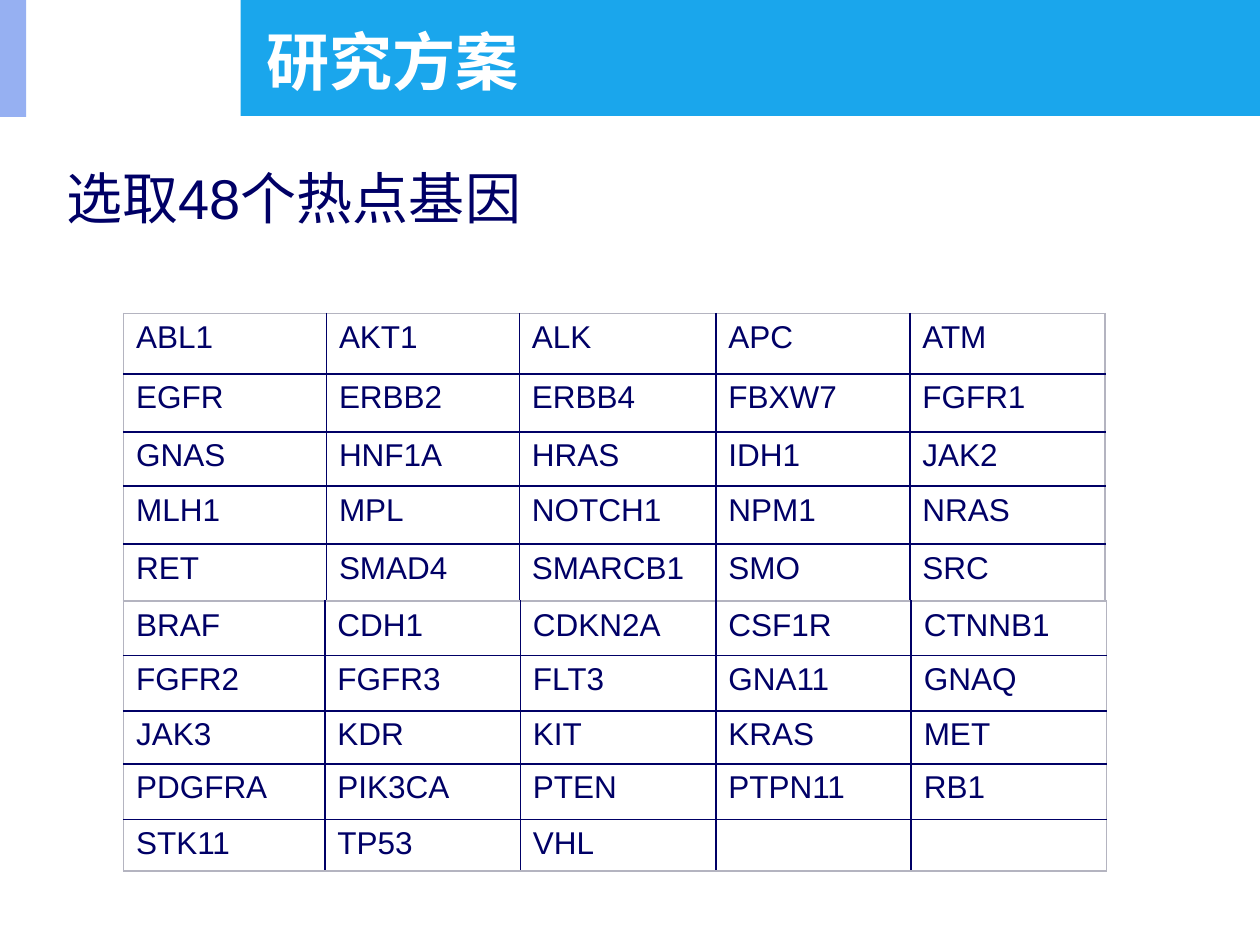
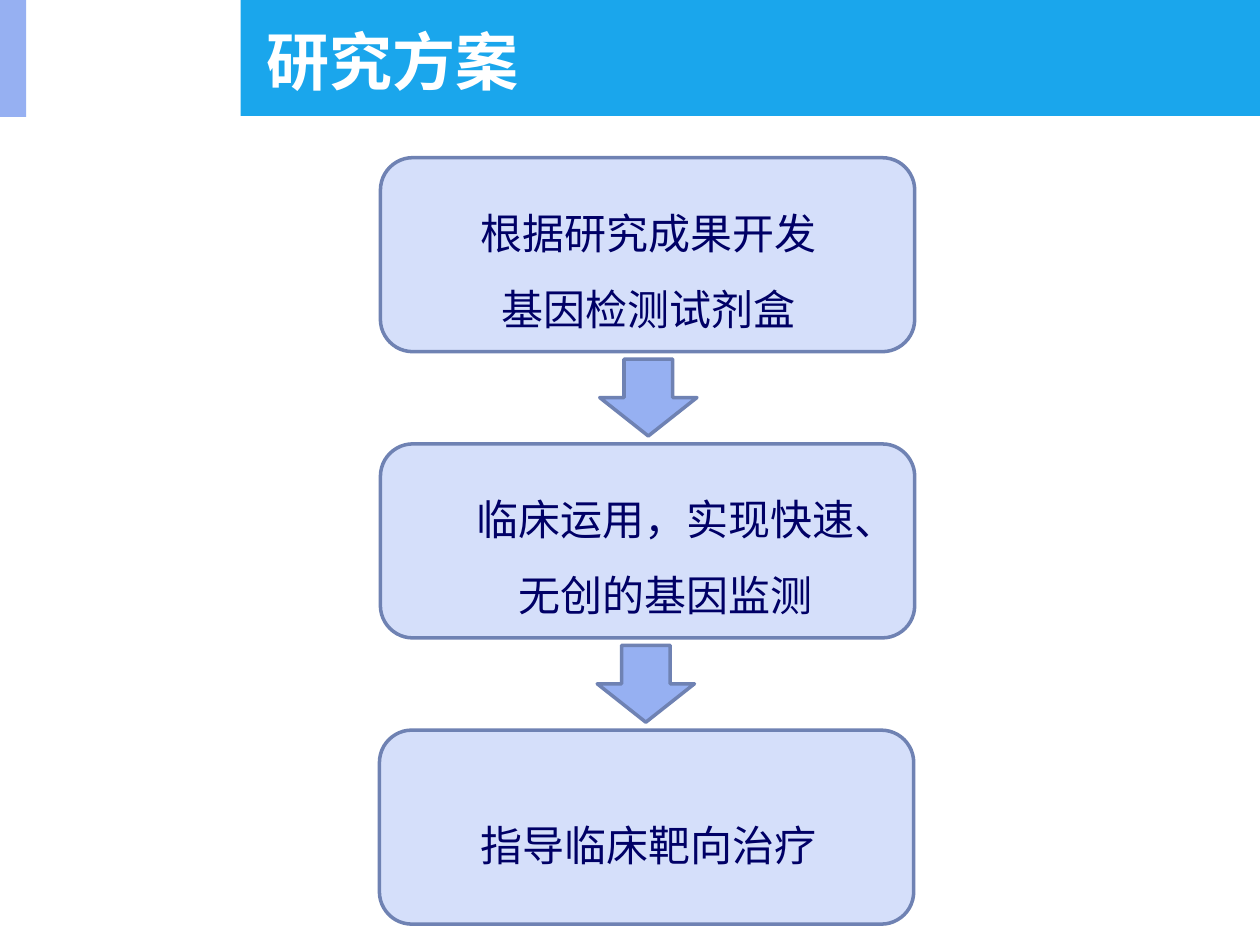
import pptx
import pptx.util
import pptx.dml.color
import pptx.enum.shapes
import pptx.enum.text
import pptx.oxml
import pptx.oxml.ns

Cm = pptx.util.Cm
Pt = pptx.util.Pt
Kind = pptx.enum.shapes.MSO_SHAPE
Align = pptx.enum.text.PP_ALIGN
Anchor = pptx.enum.text.MSO_ANCHOR
Fit = pptx.enum.text.MSO_AUTO_SIZE

NAVY, WHITE, GREY = "000066", "FFFFFF", "B4B4C0"
BLUE, LILAC, PALE, EDGE = "1AA6EC", "96B0F2", "D5DFFA", "6F82B3"


def tint(code):
    return pptx.dml.color.RGBColor.from_string(code)


class Deck:
    def __init__(self):
        self.file = pptx.Presentation()
        self.file.slide_width, self.file.slide_height = Cm(25.4), Cm(19.05)
        self.base = self.file.slide_layouts[5]
        self.slide = None

    def page(self, title):
        first = self.slide is None
        self.slide = self.file.slides.add_slide(self.base)
        if first:
            self.bands()
        head = self.slide.shapes.title
        head.left, head.top, head.width, head.height = Cm(5.11), Cm(0.43), Cm(19.66), Cm(1.57)
        head.text_frame.auto_size = Fit.NONE
        head.text_frame.vertical_anchor = Anchor.MIDDLE
        self.label(head.text_frame, title, 36, WHITE, "Calibri", Align.LEFT, True)

    def bands(self):
        tree = self.base.shapes.element
        for spot, fill in (((4.85, 0, 20.55, 2.34), BLUE), ((0, 0, 0.53, 2.36), LILAC)):
            band = self.shape(Kind.RECTANGLE, spot, fill)
            tree.insert(2, band.element)

    def label(self, frame, text, size, color=NAVY, face="Arial", align=Align.LEFT, bold=False):
        frame.text = text
        para = frame.paragraphs[0]
        para.alignment = align
        font = para.font
        font.size, font.name, font.bold = Pt(size), face, bold
        font.color.rgb = tint(color)
        return para

    def shape(self, kind, spot, fill, line=None):
        item = self.slide.shapes.add_shape(kind, *map(Cm, spot))
        item.shadow.inherit = False
        item.fill.solid()
        item.fill.fore_color.rgb = tint(fill)
        if line:
            item.line.color.rgb = tint(line)
            item.line.width = Pt(2)
        else:
            item.line.fill.background()
        return item

    def text(self, spot, words, size, align=Align.LEFT, space=None):
        frame = self.slide.shapes.add_textbox(*map(Cm, spot)).text_frame
        frame.word_wrap = True
        para = self.label(frame, words, size, align=align)
        if space:
            para.line_spacing = space

    def table(self, left, top, wide, high, data):
        rows, cols = len(high), len(wide)
        frame = self.slide.shapes.add_table(
            rows, cols, Cm(left), Cm(top), Cm(sum(wide)), Cm(sum(high)))
        grid = frame.table
        grid.first_row = grid.horz_banding = False
        for col, size in zip(grid.columns, wide):
            col.width = Cm(size)
        for row, size in zip(grid.rows, high):
            row.height = Cm(size)
        for y, line in enumerate(data):
            names = line.split()
            for x in range(cols):
                cell = grid.cell(y, x)
                self.label(cell.text_frame, names[x] if x < len(names) else "", 18)
                cell.fill.background()
                self.rule(cell, {"L": x == 0, "R": x == cols - 1,
                                 "T": y == 0, "B": y == rows - 1})

    def rule(self, cell, sides):
        props = cell._tc.get_or_add_tcPr()
        for spot, (side, outer) in enumerate(sides.items()):
            color = GREY if outer else NAVY
            props.insert(spot, pptx.oxml.parse_xml(
                f'<a:ln{side} {pptx.oxml.ns.nsdecls("a")} w="12700"><a:solidFill>'
                f'<a:srgbClr val="{color}"/></a:solidFill></a:ln{side}>'))


def genes(deck):
    deck.page("研究方案")
    deck.table(2.49, 6.32, [4.09, 3.89, 3.96, 3.91, 3.94], [1.22, 1.17, 1.09, 1.17, 1.14], [
        "ABL1 AKT1 ALK APC ATM",
        "EGFR ERBB2 ERBB4 FBXW7 FGFR1",
        "GNAS HNF1A HRAS IDH1 JAK2",
        "MLH1 MPL NOTCH1 NPM1 NRAS",
        "RET SMAD4 SMARCB1 SMO SRC"])
    deck.table(2.49, 12.12, [4.06] + [3.94] * 4, [1.09, 1.12, 1.07, 1.12, 1.04], [
        "BRAF CDH1 CDKN2A CSF1R CTNNB1",
        "FGFR2 FGFR3 FLT3 GNA11 GNAQ",
        "JAK3 KDR KIT KRAS MET",
        "PDGFRA PIK3CA PTEN PTPN11 RB1",
        "STK11 TP53 VHL"])
    deck.text((1.09, 3.18, 9.75, 1.63), "选取48个热点基因", 32)


def steps(deck):
    deck.page("研究方案")
    plan = [
        (7.67, (9.22, 3.56, 7.7, 3.15), "根据研究成果开发基因检测试剂盒"),
        (7.67, (9.22, 9.32, 8.41, 3.33), "临床运用，实现快速、无创的基因监测"),
        (7.65, (8.86, 15.88, 8.41, 1.63), "指导临床靶向治疗")]
    pitch = 5.77
    for rank, (left, spot, words) in enumerate(plan):
        deck.shape(Kind.ROUNDED_RECTANGLE, (left, 3.18 + rank * pitch, 10.77, 3.91), PALE, EDGE)
        deck.text(spot, words, 24, Align.CENTER, 1.5)
    for rank, left in enumerate((12.09, 12.04)):
        deck.shape(Kind.DOWN_ARROW, (left, 7.24 + rank * pitch, 1.96, 1.55), LILAC, EDGE)


def main():
    deck = Deck()
    genes(deck)
    steps(deck)
    deck.file.save("out.pptx")


if __name__ == "__main__":
    main()
